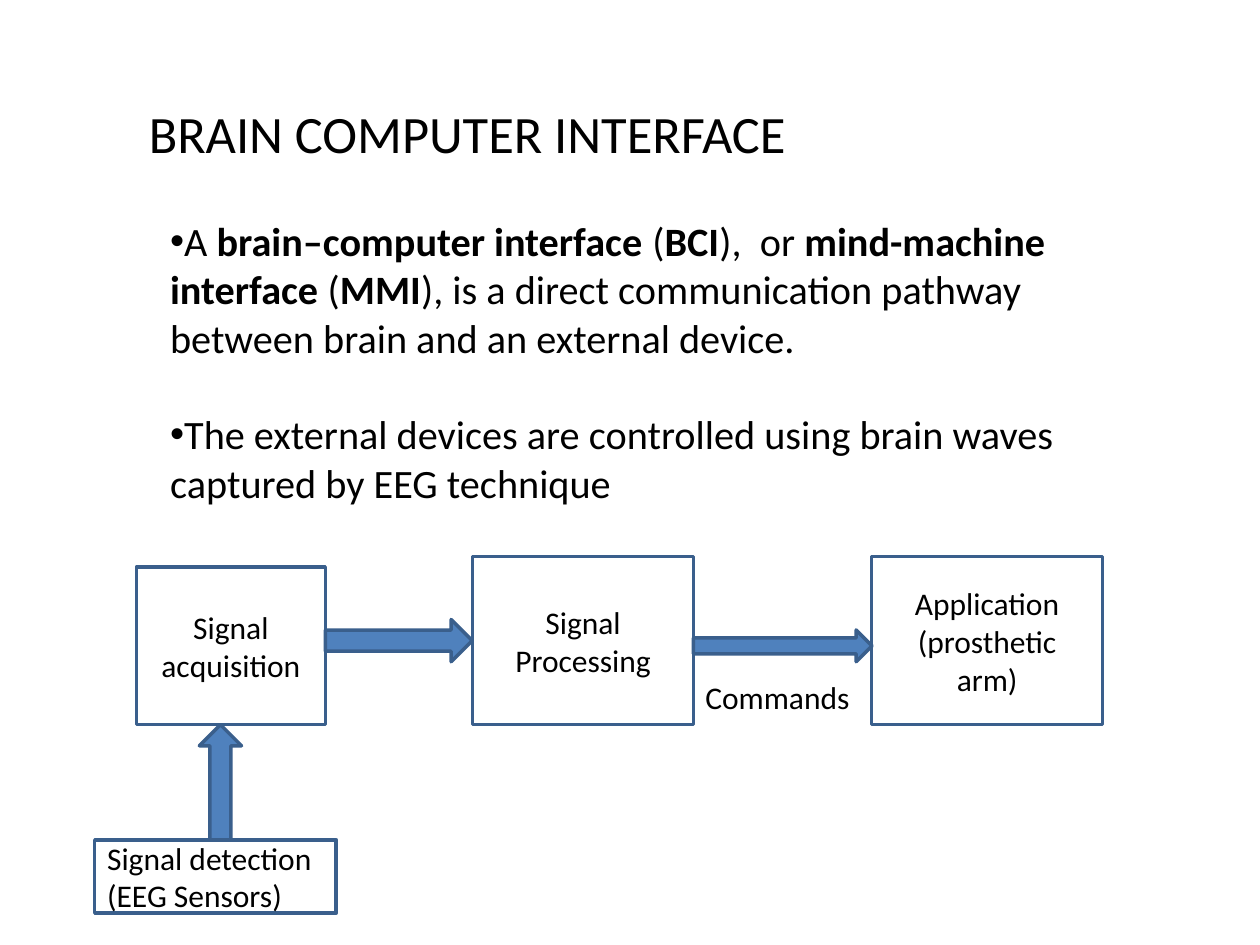
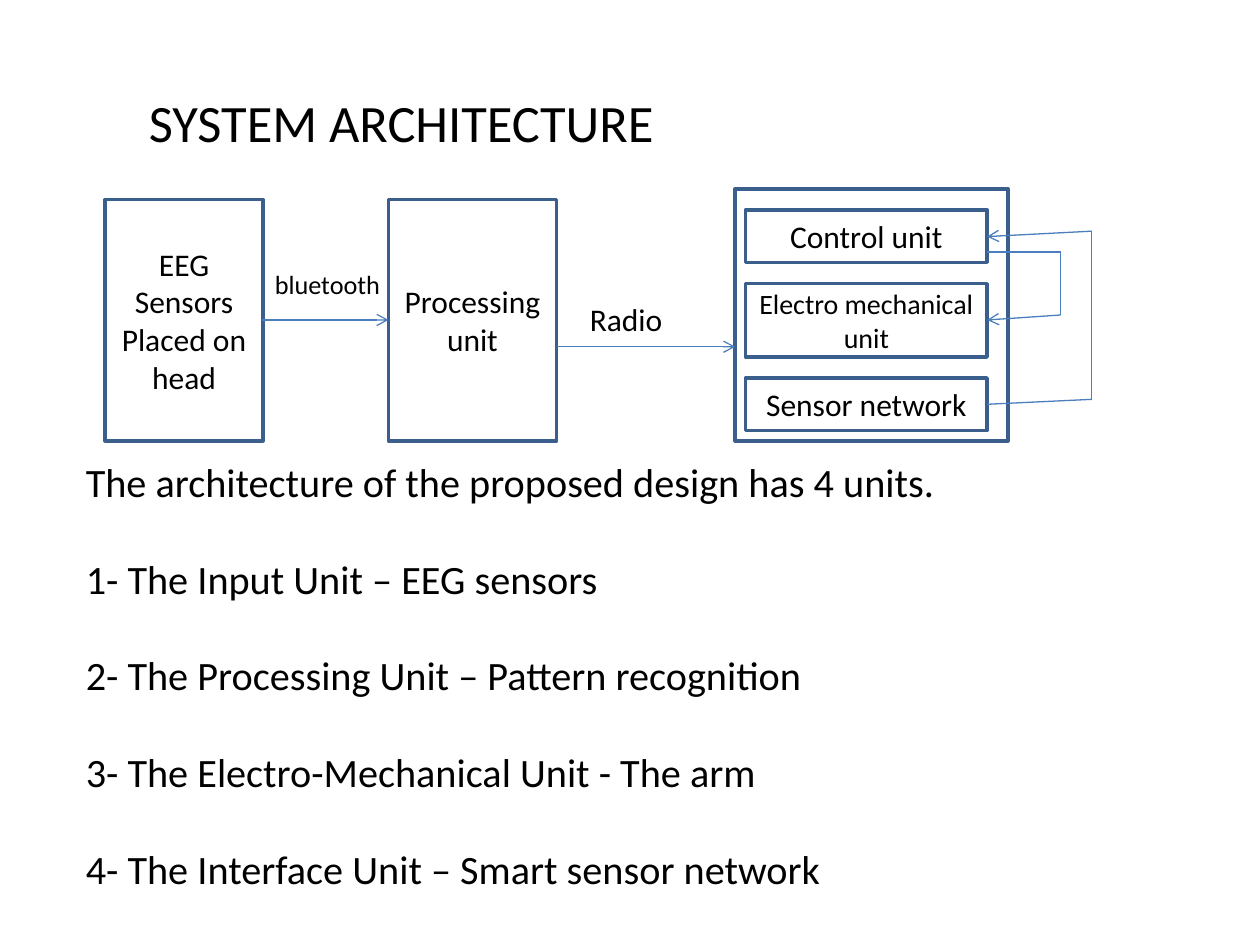
from dataclasses import dataclass
from itertools import pairwise

from lxml.etree import SubElement
from pptx import Presentation
from pptx.dml.color import RGBColor
from pptx.enum.shapes import MSO_CONNECTOR as Connector, MSO_SHAPE as Shape
from pptx.enum.text import MSO_ANCHOR as Anchor, PP_ALIGN as Align
from pptx.oxml.ns import qn
from pptx.util import Cm, Pt


@dataclass(frozen=True)
class Theme:
    font: str = "Calibri"
    ink: RGBColor = RGBColor(0x00, 0x00, 0x00)
    paper: RGBColor = RGBColor(0xFF, 0xFF, 0xFF)
    arrow: RGBColor = RGBColor(0x4F, 0x81, 0xBD)
    outline: RGBColor = RGBColor(0x3A, 0x5F, 0x8C)
    link: RGBColor = RGBColor(0x4B, 0x7E, 0xBC)
    title: int = 30
    body: int = 23
    label: int = 18
    compact: int = 16
    small: int = 15
    body_gap: float = 27.6
    outline_width: float = 2
    link_width: float = 0.75


theme = Theme()


def write(shape, paragraphs, size, align=Align.LEFT, wrap=True, gap=0, bullet=None):
    """Fill a shape with text; parts between ** marks are bold."""
    frame = shape.text_frame
    frame.word_wrap = wrap
    for index, text in enumerate(paragraphs):
        para = frame.add_paragraph() if index else frame.paragraphs[0]
        para.alignment = align
        para.space_before = Pt(gap if index else 0)
        if bullet:
            properties = para._p.get_or_add_pPr()
            properties.set("marL", "0")
            properties.set("indent", "0")
            SubElement(properties, qn("a:buFont"), typeface="Arial")
            SubElement(properties, qn("a:buChar"), char=bullet)
        for part, words in enumerate(text.split("**")):
            span = para.add_run()
            span.text = words
            span.font.name = theme.font
            span.font.size = Pt(size)
            span.font.bold = part % 2 == 1
            span.font.color.rgb = theme.ink


def add_block(page, kind, place, fill):
    block = page.shapes.add_shape(kind, *map(Cm, place))
    block.shadow.inherit = False
    if fill is None:
        block.fill.background()
    else:
        block.fill.solid()
        block.fill.fore_color.rgb = fill
    block.line.color.rgb = theme.outline
    block.line.width = Pt(theme.outline_width)
    return block


deck = Presentation()
deck.slide_width, deck.slide_height = Cm(25.4), Cm(19.05)
blank = deck.slide_layouts[6]
interface_page = deck.slides.add_slide(blank)
architecture_page = deck.slides.add_slide(blank)

# Body text
bodies = [
    (interface_page, (3.18, 4.24, 19.9, 6.15), "•", [
        "A **brain–computer interface** (**BCI**),  or **mind-machine interface** (**MMI**), "
        "is a direct communication pathway between brain and an external device.",
        "The external devices are controlled using brain waves captured by EEG technique",
    ]),
    (architecture_page, (1.48, 9.1, 23.06, 9.09), None, [
        "The architecture of the proposed design has 4 units.",
        "1- The Input Unit – EEG sensors",
        "2- The Processing Unit – Pattern recognition",
        "3- The Electro-Mechanical Unit - The arm",
        "4- The Interface Unit – Smart sensor network",
    ]),
]
for page, place, bullet, paragraphs in bodies:
    box = page.shapes.add_textbox(*map(Cm, place))
    write(box, paragraphs, theme.body, gap=theme.body_gap, bullet=bullet)

# Block arrows between the stages of the interface
stage_arrows = [
    (Shape.RIGHT_ARROW, (6.56, 12.49, 2.96, 0.85)),
    (Shape.RIGHT_ARROW, (13.98, 12.7, 3.6, 0.64)),
    (Shape.UP_ARROW, (4.02, 14.61, 0.85, 2.33)),
]
for kind, place in stage_arrows:
    add_block(interface_page, kind, place, theme.arrow)

# Diagram boxes
add_block(architecture_page, Shape.RECTANGLE, (14.82, 3.81, 5.5, 5.08), theme.paper)
unit_left, unit_width = 15.03, 4.87
boxes = [
    (interface_page, (2.75, 11.43, 3.81, 3.18), None, theme.label, Align.CENTER,
     ["Signal acquisition"]),
    (interface_page, (9.53, 11.22, 4.45, 3.39), None, theme.label, Align.CENTER,
     ["Signal Processing"]),
    (interface_page, (17.57, 11.22, 4.66, 3.39), None, theme.label, Align.CENTER,
     ["Application", "(prosthetic arm)"]),
    (interface_page, (1.91, 16.93, 4.87, 1.48), theme.paper, theme.label, Align.LEFT,
     ["Signal detection (EEG Sensors)"]),
    (architecture_page, (2.12, 4.02, 3.18, 4.87), theme.paper, theme.label, Align.CENTER,
     ["EEG", "Sensors", "Placed on head"]),
    (architecture_page, (7.83, 4.02, 3.39, 4.87), theme.paper, theme.label, Align.CENTER,
     ["Processing unit"]),
    (architecture_page, (unit_left, 4.23, unit_width, 1.06), theme.paper, theme.label,
     Align.CENTER, ["Control unit"]),
    (architecture_page, (unit_left, 5.72, unit_width, 1.48), theme.paper, theme.compact,
     Align.CENTER, ["Electro mechanical unit"]),
    (architecture_page, (unit_left, 7.62, unit_width, 1.06), theme.paper, theme.label,
     Align.CENTER, ["Sensor network"]),
]
for page, place, fill, size, align, paragraphs in boxes:
    block = add_block(page, Shape.RECTANGLE, place, fill)
    block.text_frame.vertical_anchor = Anchor.MIDDLE
    write(block, paragraphs, size, align)

# Signal routes: each ends in an arrowhead
unit_right = unit_left + unit_width
routes = [
    [(5.29, 6.45), (7.83, 6.45)],
    [(11.22, 6.99), (14.82, 6.99)],
    [(unit_right, 8.15), (22.01, 8.05), (22.01, 4.66), (unit_right, 4.77)],
    [(unit_right, 5.08), (21.38, 5.08), (21.38, 6.35), (unit_right, 6.45)],
]
for route in routes:
    for start, end in pairwise(route):
        link = architecture_page.shapes.add_connector(
            Connector.STRAIGHT, *map(Cm, start + end))
        link.line.color.rgb = theme.link
        link.line.width = Pt(theme.link_width)
        if end == route[-1]:
            SubElement(link.line._get_or_add_ln(), qn("a:tailEnd"), type="arrow")
        SubElement(link._element.spPr, qn("a:effectLst"))

# Titles and diagram labels, each on one line
captions = [
    (interface_page, (2.75, 1.91, 13.49, 1.55), theme.title, "BRAIN COMPUTER INTERFACE"),
    (interface_page, (13.97, 13.55, 3.45, 1.02), theme.label, "Commands"),
    (architecture_page, (2.75, 1.7, 10.8, 1.55), theme.title, "SYSTEM ARCHITECTURE"),
    (architecture_page, (5.29, 5.29, 2.67, 0.89), theme.small, "bluetooth"),
    (architecture_page, (11.64, 5.93, 1.98, 1.02), theme.label, "Radio"),
]
for page, place, size, text in captions:
    box = page.shapes.add_textbox(*map(Cm, place))
    write(box, [text], size, wrap=False)

deck.save("out.pptx")
